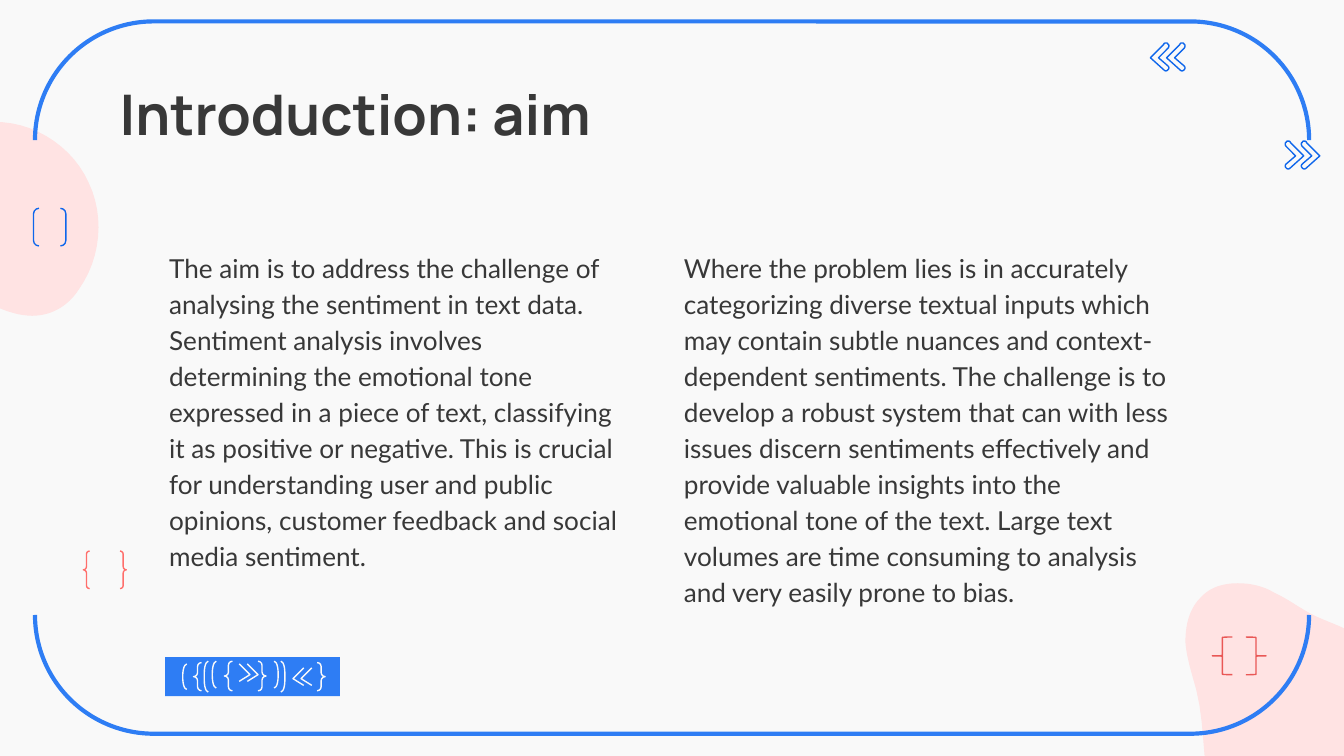
from pptx import Presentation
from pptx.dml.color import RGBColor
from pptx.enum.shapes import MSO_SHAPE
from pptx.enum.text import MSO_ANCHOR, MSO_AUTO_SIZE, PP_ALIGN
from pptx.util import Inches, Pt

PAPER = RGBColor(0xF9, 0xF9, 0xF9)
INK = RGBColor(0x38, 0x38, 0x38)
BLUE = RGBColor(0x2E, 0x7D, 0xF4)
NAVY = RGBColor(0x0E, 0x66, 0xEB)
PINK = RGBColor(0xFF, 0xE3, 0xE3)
CORAL = RGBColor(0xFF, 0x6E, 0x6B)
RED = RGBColor(0xE9, 0x58, 0x56)

RECT = MSO_SHAPE.RECTANGLE
PAIR = MSO_SHAPE.DOUBLE_BRACKET
CURLY = MSO_SHAPE.DOUBLE_BRACE
LBRACE, RBRACE = MSO_SHAPE.LEFT_BRACE, MSO_SHAPE.RIGHT_BRACE
LPAREN, RPAREN = MSO_SHAPE.LEFT_BRACKET, MSO_SHAPE.RIGHT_BRACKET
TOP, LEFT, FIXED = MSO_ANCHOR.TOP, PP_ALIGN.LEFT, MSO_AUTO_SIZE.NONE

WIDE = Inches(10)
HIGH = WIDE * 9 // 16
COL = WIDE / 10

HEAD = {"size": Pt(30), "name": "Manrope", "bold": True}
BODY = {"size": Pt(14), "name": "Lato", "bold": False}

AIM = (
    "The aim is to address the challenge of analysing the sentiment in text data. "
    "Sentiment analysis involves determining the emotional tone expressed in a piece "
    "of text, classifying it as positive or negative. This is crucial for "
    "understanding user and public opinions, customer feedback and social media sentiment."
)
ISSUE = (
    "Where the problem lies is in accurately categorizing diverse textual inputs which "
    "may contain subtle nuances and context-dependent sentiments. The challenge is to "
    "develop a robust system that can with less issues discern sentiments effectively "
    "and provide valuable insights into the emotional tone of the text. Large text "
    "volumes are time consuming to analysis and very easily prone to bias."
)

LEFT_BLOB = [
    (-0.02, 0.91), (-0.07, 0.91, -0.11, 0.91, -0.16, 0.92),
    (-0.44, 0.98, -0.72, 1.2, -0.74, 1.49), (-0.76, 1.8, -0.4, 2.06, -0.17, 2.21),
    (-0.03, 2.29, 0.11, 2.35, 0.24, 2.35), (0.37, 2.35, 0.5, 2.29, 0.59, 2.15),
    (0.75, 1.92, 0.78, 1.61, 0.66, 1.36), (0.55, 1.11, 0.29, 0.93, 0.02, 0.91),
]
RIGHT_BLOB = [
    (9.21, 4.34), (9.1, 4.34, 9, 4.37, 8.93, 4.45), (8.84, 4.54, 8.82, 4.67, 8.82, 4.78),
    (8.83, 4.9, 8.87, 5.02, 8.9, 5.13), (9.02, 5.58, 8.85, 6.28, 9.48, 6.4),
    (9.53, 6.41, 9.58, 6.41, 9.63, 6.41), (10.17, 6.41, 10.48, 5.8, 10.41, 5.29),
    (10.38, 5.14, 10.33, 5, 10.24, 4.88), (10.17, 4.79, 10.1, 4.73, 10.01, 4.68),
    (9.93, 4.64, 9.83, 4.61, 9.74, 4.56), (9.65, 4.51, 9.57, 4.45, 9.48, 4.41),
    (9.4, 4.36, 9.3, 4.34, 9.21, 4.34),
]
HOOK = [
    (0.12, 0), (0.11, 0, 0.1, 0, 0.1, 0.01), (0, 0.11), (0.1, 0.2),
    (0.11, 0.21, 0.12, 0.21, 0.13, 0.2), (0.14, 0.19, 0.14, 0.18, 0.13, 0.17),
    (0.06, 0.11), (0.13, 0.04), (0.14, 0.03, 0.14, 0.01, 0.13, 0.01),
    (0.13, 0, 0.12, 0, 0.12, 0),
]
TICK = [(0, 0), (0.08, 0.08), (0, 0.13)]

MARKS = [
    (LPAREN, 1.36, 4.94, 0.03, 0.19), (LBRACE, 1.44, 4.93, 0.06, 0.21),
    (LPAREN, 1.52, 4.92, 0.03, 0.23), (LPAREN, 1.58, 4.92, 0.03, 0.2),
    (LBRACE, 1.67, 4.92, 0.06, 0.22), (RBRACE, 1.92, 4.92, 0.06, 0.22),
    (RPAREN, 2.04, 4.92, 0.03, 0.2), (RPAREN, 2.09, 4.92, 0.03, 0.23),
    (RBRACE, 2.36, 4.93, 0.06, 0.21),
]


def paint(shape, fill=None, line=None, width=0.75):
    shape.shadow.inherit = False
    if fill is None:
        shape.fill.background()
    else:
        shape.fill.solid()
        shape.fill.fore_color.rgb = fill
    if line is None:
        shape.line.fill.background()
    else:
        shape.line.color.rgb = line
        shape.line.width = Pt(width)


def place(shape, box):
    for name, value in zip(("left", "top", "width", "height"), box):
        setattr(shape, name, round(value * COL))


def sign(slide, kind, box, turn=0, adj=None, **look):
    shape = slide.shapes.add_shape(kind, *(round(v * COL) for v in box))
    shape.rotation = turn
    if adj is not None:
        shape.adjustments[0] = adj
    paint(shape, **look)


def trace(steps, count=12):
    points = [steps[0]]
    for step in steps[1:]:
        if len(step) == 2:
            points.append(step)
            continue
        ends = [points[-1], step[:2], step[2:4], step[4:]]
        for n in range(1, count + 1):
            t = n / count
            parts = ((1 - t) ** 3, 3 * t * (1 - t) ** 2, 3 * t * t * (1 - t), t ** 3)
            points.append(tuple(sum(k * e[i] for k, e in zip(parts, ends)) for i in (0, 1)))
    return points


def draw(slide, steps, x=0, y=0, flip=1, close=True, **look):
    points = [((x + flip * a) * COL, (y + b) * COL) for a, b in trace(steps)]
    form = slide.shapes.build_freeform(*points[0], scale=1.0)
    form.add_line_segments(points[1:], close=close)
    paint(form.convert_to_shape(), **look)


def write(shape, text, style, space=1.0):
    frame = shape.text_frame
    frame.text = text
    frame.word_wrap, frame.auto_size, frame.vertical_anchor = True, FIXED, TOP
    for side in ("left", "top", "right", "bottom"):
        setattr(frame, f"margin_{side}", Inches(0.1))
    line = frame.paragraphs[0]
    line.alignment, line.line_spacing = LEFT, space
    for name, value in style.items():
        setattr(line.font, name, value)
    line.font.color.rgb = INK


def decor(slide):
    for blob in (LEFT_BLOB, RIGHT_BLOB):
        draw(slide, blob, fill=PINK)
    sign(slide, PAIR, (0.25, 1.55, 0.24, 0.28), line=NAVY)
    for x, y, flip in ((8.56, 0.32, 1), (8.68, 0.32, 1), (9.82, 1.05, -1), (9.7, 1.05, -1)):
        draw(slide, HOOK, x, y, flip, fill=PAPER, line=NAVY)
    for x, turn in ((9.02, 0), (9.27, 180)):
        sign(slide, LBRACE, (x, 4.74, 0.15, 0.28), turn, 0.02, line=RED)
    sign(slide, PAIR, (2.35, -1.93, 5.3, 9.48), 90, line=BLUE, width=2.25)
    sign(slide, CURLY, (0.62, 4.1, 0.32, 0.28), line=CORAL)


def badge(slide):
    sign(slide, RECT, (1.23, 4.89, 1.3, 0.29), fill=BLUE)
    for kind, *box in MARKS:
        adj = 0.5 if kind in (LBRACE, RBRACE) else 3
        sign(slide, kind, box, adj=adj, line=PAPER)
    for x, y, flip in ((1.78, 4.94, 1), (1.84, 4.94, 1), (2.26, 4.97, -1), (2.32, 4.97, -1)):
        draw(slide, TICK, x, y, flip, close=False, line=PAPER)


def main():
    deck = Presentation()
    deck.slide_width, deck.slide_height = WIDE, HIGH
    slide = deck.slides.add_slide(deck.slide_layouts[5])
    slide.background.fill.solid()
    slide.background.fill.fore_color.rgb = PAPER
    decor(slide)
    title = slide.shapes.title
    place(title, (0.79, 0.49, 8.43, 0.63))
    write(title, "Introduction: aim", HEAD)
    for text, box in ((ISSUE, (4.99, 1.74, 3.85, 2.87)), (AIM, (1.16, 1.74, 3.56, 2.75))):
        note = slide.shapes.add_textbox(0, 0, 0, 0)
        place(note, box)
        write(note, text, BODY, 1.15)
    badge(slide)
    deck.save("out.pptx")


if __name__ == "__main__":
    main()
